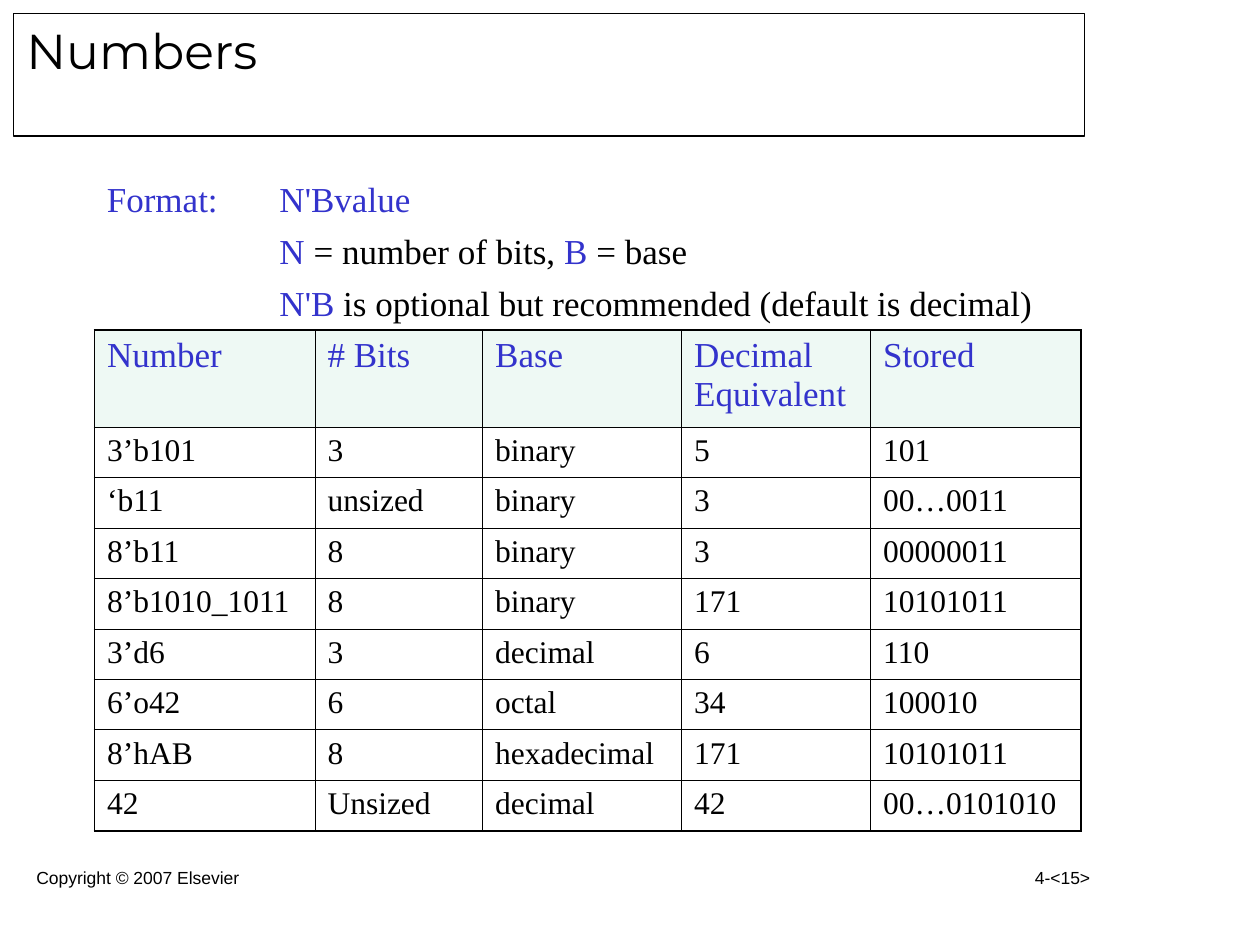
from dataclasses import dataclass

from lxml.etree import SubElement
from pptx import Presentation
from pptx.dml.color import RGBColor
from pptx.enum.text import MSO_ANCHOR, MSO_AUTO_SIZE, PP_ALIGN
from pptx.oxml.ns import qn
from pptx.util import Inches, Pt


@dataclass(frozen=True)
class Theme:
    ink: RGBColor = RGBColor(0x00, 0x00, 0x00)
    accent: RGBColor = RGBColor(0x33, 0x33, 0xCC)
    paper: RGBColor = RGBColor(0xFF, 0xFF, 0xFF)
    header_fill: RGBColor = RGBColor(0xEE, 0xF9, 0xF4)
    title_font: str = "Montserrat"
    body_font: str = "Times New Roman"
    footer_font: str = "Arial"
    title_size: float = 28
    body_size: float = 20
    cell_size: float = 18
    footer_size: float = 10
    outer_line: float = 1.08
    inner_line: float = 0.45
    title_line: float = 0.75
    para_gap: float = 5.75


THEME = Theme()

COLUMN_WIDTHS = [1.75, 1.33, 1.58, 1.5, 1.67]
HEADER_HEIGHT, ROW_HEIGHT = 0.77, 0.4
HEADINGS = ["Number", "# Bits", "Base", "Decimal Equivalent", "Stored"]
NUMBERS = [
    ["3’b101", "3", "binary", "5", "101"],
    ["‘b11", "unsized", "binary", "3", "00…0011"],
    ["8’b11", "8", "binary", "3", "00000011"],
    ["8’b1010_1011", "8", "binary", "171", "10101011"],
    ["3’d6", "3", "decimal", "6", "110"],
    ["6’o42", "6", "octal", "34", "100010"],
    ["8’hAB", "8", "hexadecimal", "171", "10101011"],
    ["42", "Unsized", "decimal", "42", "00…0101010"],
]
# Each line holds (text, is accented) spans.
FORMAT_LINES = [
    [("Format:\tN'Bvalue", True)],
    [("N", True), (" = number of bits, ", False), ("B", True), (" = base", False)],
    [("N'B", True), (" is optional but recommended (default is decimal)", False)],
]


def set_font(font, name, size, color=None):
    font.name = name
    font.size = Pt(size)
    if color is not None:
        font.color.rgb = color


def add_title(page, text, box):
    title = page.shapes.title
    title.left, title.top, title.width, title.height = box
    title.fill.solid()
    title.fill.fore_color.rgb = THEME.paper
    title.line.color.rgb = THEME.ink
    title.line.width = Pt(THEME.title_line)
    frame = title.text_frame
    frame.text = text
    frame.auto_size = MSO_AUTO_SIZE.NONE
    frame.vertical_anchor = MSO_ANCHOR.TOP
    para = frame.paragraphs[0]
    para.alignment = PP_ALIGN.LEFT
    set_font(para.font, THEME.title_font, THEME.title_size, THEME.ink)


def add_format_notes(page, box):
    frame = page.shapes.add_textbox(*box).text_frame
    frame.word_wrap = True
    hang = Inches(1.37)
    for index, line in enumerate(FORMAT_LINES):
        para = frame.add_paragraph() if index else frame.paragraphs[0]
        properties = para._p.get_or_add_pPr()
        properties.set("marL", str(hang))
        properties.set("indent", "0" if index else str(-hang))
        if index:
            para.space_before = Pt(THEME.para_gap)
        set_font(para.font, THEME.body_font, THEME.body_size)
        for text, accented in line:
            span = para.add_run()
            span.text = text
            span.font.color.rgb = THEME.accent if accented else THEME.ink


def set_borders(cell, outer_sides):
    properties = cell._tc.get_or_add_tcPr()
    for side in "LRTB":
        width = THEME.outer_line if side in outer_sides else THEME.inner_line
        line = SubElement(properties, qn(f"a:ln{side}"), w=str(Pt(width)))
        fill = SubElement(line, qn("a:solidFill"))
        SubElement(fill, qn("a:srgbClr"), val=str(THEME.ink))


def add_number_table(page, box):
    rows = [HEADINGS] + NUMBERS
    table = page.shapes.add_table(len(rows), len(HEADINGS), *box).table
    table.first_row = table.horz_banding = False
    for column, width in zip(table.columns, COLUMN_WIDTHS):
        column.width = Inches(width)
    for r, values in enumerate(rows):
        is_header = r == 0
        table.rows[r].height = Inches(HEADER_HEIGHT if is_header else ROW_HEIGHT)
        for c, text in enumerate(values):
            cell = table.cell(r, c)
            edges = {"L": c == 0, "R": c == len(values) - 1,
                     "T": is_header, "B": r == len(rows) - 1}
            set_borders(cell, [side for side, is_outer in edges.items() if is_outer])
            cell.text = text
            font = cell.text_frame.paragraphs[0].font
            if is_header:
                cell.fill.solid()
                cell.fill.fore_color.rgb = THEME.header_fill
                set_font(font, THEME.body_font, THEME.body_size, THEME.accent)
            else:
                cell.fill.background()
                set_font(font, THEME.body_font, THEME.cell_size, THEME.ink)


def add_footer(page, text, box, alignment):
    frame = page.shapes.add_textbox(*box).text_frame
    frame.word_wrap = True
    frame.text = text
    para = frame.paragraphs[0]
    para.alignment = alignment
    set_font(para.font, THEME.footer_font, THEME.footer_size, THEME.ink)


def inch_box(*lengths):
    return [Inches(length) for length in lengths]


def main():
    deck = Presentation()
    deck.slide_width, deck.slide_height = Inches(10), Inches(7.5)
    page = deck.slides.add_slide(deck.slide_layouts[5])
    add_footer(page, "Copyright © 2007 Elsevier", inch_box(0.19, 6.83, 3.17, 0.5), PP_ALIGN.LEFT)
    add_footer(page, "4-<15>", inch_box(6.67, 6.83, 2.08, 0.5), PP_ALIGN.RIGHT)
    add_title(page, "Numbers", inch_box(0.11, 0.11, 8.5, 0.97))
    table_height = HEADER_HEIGHT + ROW_HEIGHT * len(NUMBERS)
    add_number_table(page, inch_box(0.75, 2.62, sum(COLUMN_WIDTHS), table_height))
    add_format_notes(page, inch_box(0.75, 1.36, 8.5, 5.42))
    deck.save("out.pptx")


if __name__ == "__main__":
    main()
